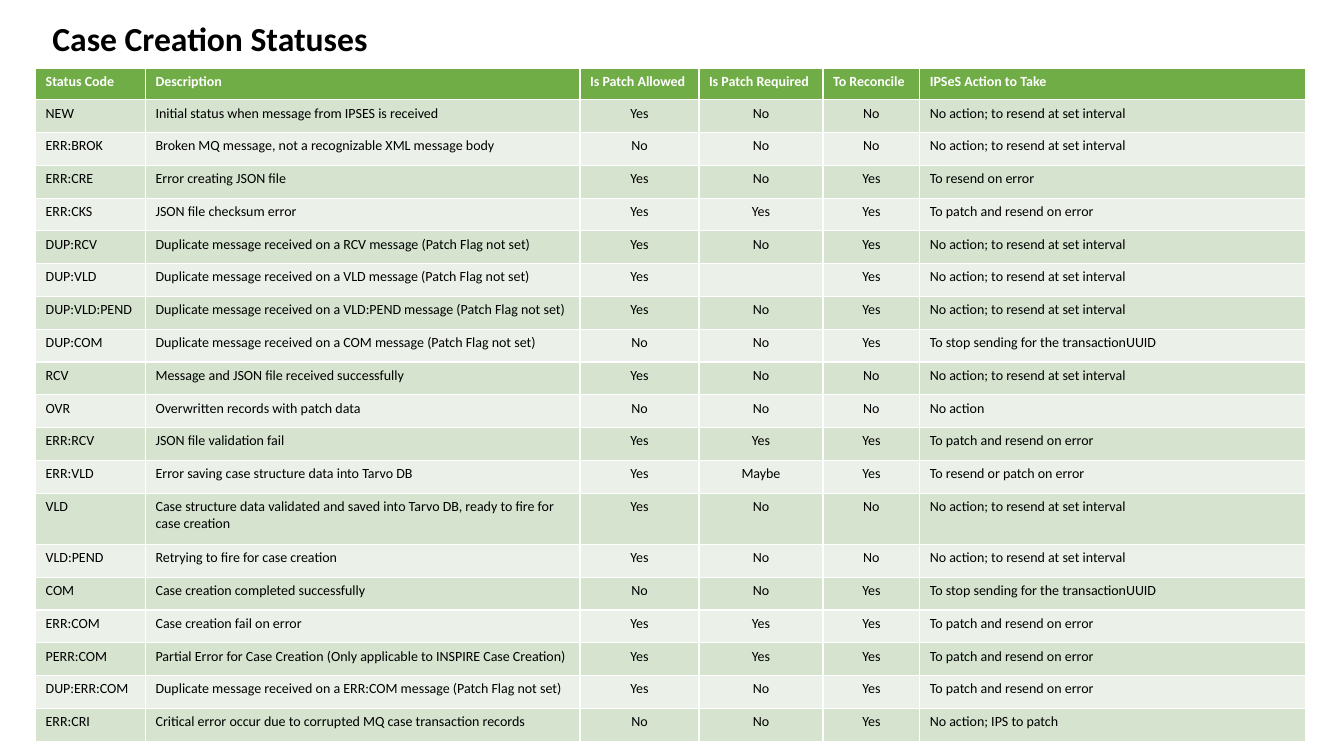
import pptx
import pptx.dml.color
import pptx.enum.text
import pptx.oxml
import pptx.util

W, H = pptx.util.Inches(13.33), pptx.util.Inches(7.5)
FONT = "Calibri"
COLORS = {"header": "70AD47", "odd": "D5E3CF", "even": "EBF1E9",
          "text": "000000", "header_text": "FFFFFF"}
COLUMN_SHARES = [8.18, 32.33, 8.85, 9.23, 7.2, 28.73]
HEADER_SHARE, ROW_SHARE, TALL_SHARE = 4.13, 4.34, 6.8
CENTERED = (2, 3, 4)

RESEND = "No action; to resend at set interval"
PATCH = "To patch and resend on error"
STOP = "To stop sending for the transactionUUID"
HEADER = ["Status Code", "Description", "Is Patch Allowed",
          "Is Patch Required", "To Reconcile", "IPSeS Action to Take"]
STATUSES = [
    ["NEW", "Initial status when message from IPSES is received", "Yes", "No", "No", RESEND],
    ["ERR:BROK", "Broken MQ message, not a recognizable XML message body", "No", "No", "No", RESEND],
    ["ERR:CRE", "Error creating JSON file", "Yes", "No", "Yes", "To resend on error"],
    ["ERR:CKS", "JSON file checksum error", "Yes", "Yes", "Yes", PATCH],
    ["DUP:RCV", "Duplicate message received on a RCV message (Patch Flag not set)", "Yes", "No", "Yes", RESEND],
    ["DUP:VLD", "Duplicate message received on a VLD message (Patch Flag not set)", "Yes", "", "Yes", RESEND],
    ["DUP:VLD:PEND", "Duplicate message received on a VLD:PEND message (Patch Flag not set)", "Yes", "No", "Yes", RESEND],
    ["DUP:COM", "Duplicate message received on a COM message (Patch Flag not set)", "No", "No", "Yes", STOP],
    ["RCV", "Message and JSON file received successfully", "Yes", "No", "No", RESEND],
    ["OVR", "Overwritten records with patch data", "No", "No", "No", "No action"],
    ["ERR:RCV", "JSON file validation fail", "Yes", "Yes", "Yes", PATCH],
    ["ERR:VLD", "Error saving case structure data into Tarvo DB", "Yes", "Maybe", "Yes", "To resend or patch on error"],
    ["VLD", "Case structure data validated and saved into Tarvo DB, ready to fire for case creation", "Yes", "No", "No", RESEND],
    ["VLD:PEND", "Retrying to fire for case creation", "Yes", "No", "No", RESEND],
    ["COM", "Case creation completed successfully", "No", "No", "Yes", STOP],
    ["ERR:COM", "Case creation fail on error", "Yes", "Yes", "Yes", PATCH],
    ["PERR:COM", "Partial Error for Case Creation (Only applicable to INSPIRE Case Creation)", "Yes", "Yes", "Yes", PATCH],
    ["DUP:ERR:COM", "Duplicate message received on a ERR:COM message (Patch Flag not set)", "Yes", "No", "Yes", PATCH],
    ["ERR:CRI", "Critical error occur due to corrupted MQ case transaction records", "No", "No", "Yes", "No action; IPS to patch"],
]


def x(share):
    """Return a length for a percentage of the slide width."""
    return int(W * share / 100)


def y(share):
    """Return a length for a percentage of the slide height."""
    return int(H * share / 100)


def rgb(name):
    """Return the named colour."""
    return pptx.dml.color.RGBColor.from_string(COLORS[name])


def style(p, size, color, bold, centered=False):
    """Set the font and alignment of a paragraph."""
    p.font.name, p.font.size, p.font.bold = FONT, pptx.util.Pt(size), bold
    p.font.color.rgb = rgb(color)
    align = pptx.enum.text.PP_ALIGN
    p.alignment = align.CENTER if centered else align.LEFT


def add_title(s, text):
    """Fill and place the title placeholder."""
    sp = s.shapes.title
    sp.left, sp.top, sp.width, sp.height = x(3.15), y(-0.13), x(93.77), y(10.93)
    tf = sp.text_frame
    tf.text = text
    tf.vertical_anchor = pptx.enum.text.MSO_ANCHOR.MIDDLE
    p = tf.paragraphs[0]
    p.line_spacing = 0.9
    style(p, 24, "text", True)


def fill_cell(cell, text, fill, color, bold, centered):
    """Write one table cell with its fill and text format."""
    cell.fill.solid()
    cell.fill.fore_color.rgb = rgb(fill)
    cell.text = text
    p = cell.text_frame.paragraphs[0]
    style(p, 10, color, bold, centered)
    if not text:
        end = pptx.oxml.parse_xml(
            '<a:endParaRPr xmlns:a="http://schemas.openxmlformats.org/drawingml/2006/main" sz="1000"/>')
        p._p.append(end)


def add_status_table(s):
    """Add the table of status codes with alternating row fills."""
    rows = [HEADER] + STATUSES
    heights = [HEADER_SHARE] + [TALL_SHARE if r[0] == "VLD" else ROW_SHARE for r in STATUSES]
    table = s.shapes.add_table(len(rows), len(HEADER), x(2.65), y(9.07),
                               x(sum(COLUMN_SHARES)), y(sum(heights))).table
    for column, share in zip(table.columns, COLUMN_SHARES):
        column.width = x(share)
    for i, (values, share) in enumerate(zip(rows, heights)):
        table.rows[i].height = y(share)
        is_header = i == 0
        fill = "header" if is_header else "odd" if i % 2 else "even"
        color = "header_text" if is_header else "text"
        for j, text in enumerate(values):
            fill_cell(table.cell(i, j), text, fill, color, is_header,
                      not is_header and j in CENTERED)


def main():
    """Build and save the slide."""
    prs = pptx.Presentation()
    prs.slide_width, prs.slide_height = W, H
    s = prs.slides.add_slide(prs.slide_layouts[5])
    add_title(s, "Case Creation Statuses")
    add_status_table(s)
    prs.save("out.pptx")


if __name__ == "__main__":
    main()
